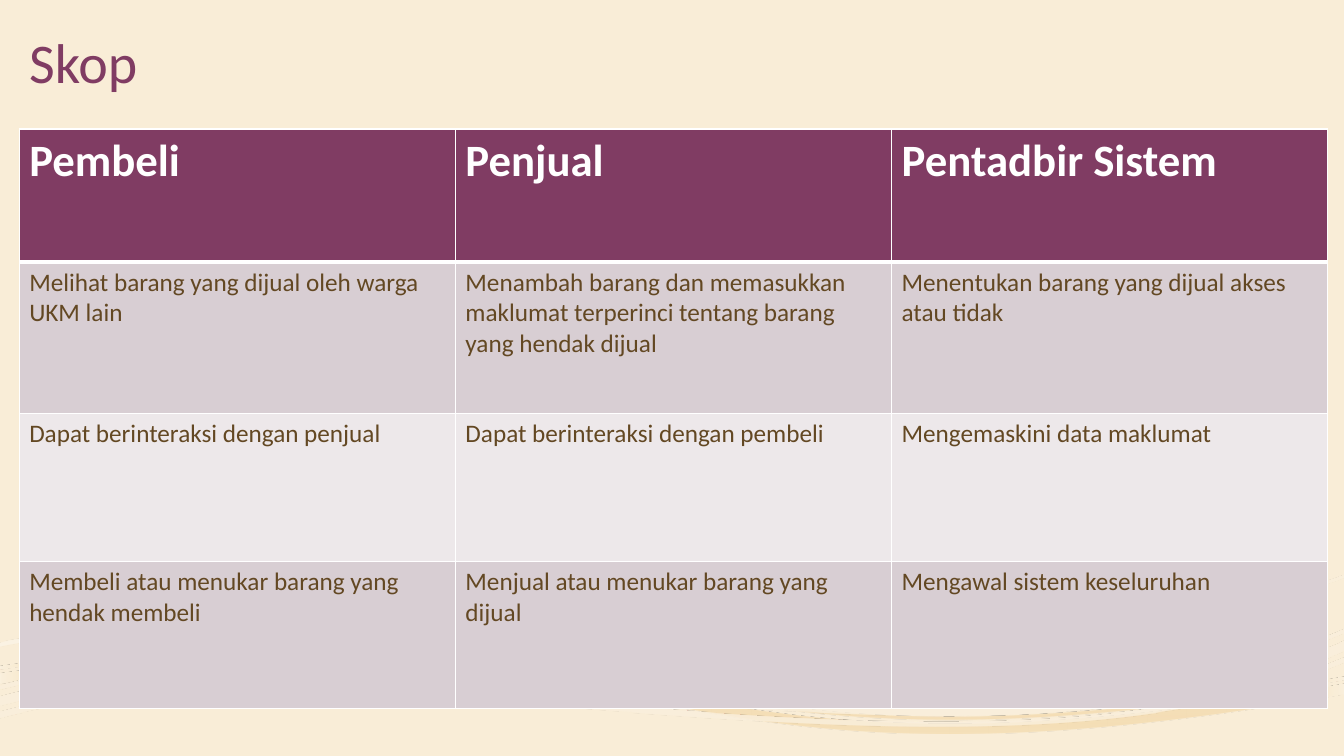
import math

from lxml import etree
from pptx import Presentation
from pptx import util as u
from pptx.dml.color import RGBColor
from pptx.enum import text
from pptx.oxml import ns

COLORS = {
    "sand": "F9EDD7", "plum": "803C63", "brown": "634823", "white": "FFFFFF",
    "band": "D8CED3", "pale": "EDE8EA", "cream": "FAF1DF", "gold": "F4DEB7",
    "honey": "F4DDB3", "ivory": "FAEFDC",
}

TILT = 3.5
WAVES = [
    {
        "frame": (0.01, 6.12, 13.31, 1.35),
        "stops": [(0, "cream", 90), (18, "gold", 100), (37, "honey", 90), (100, "cream", 100)],
        "shade": ("path", {"path": "shape"}, {"l": "50000", "t": "50000", "r": "50000", "b": "50000"}),
        "ribbons": [
            [(3.06, 6.45, 6.7, 6.47, 7.38, 7.82, 13.33, 6.78),
             (13.33, 6.88, 6.02, 8.16, 6.67, 5.83, 0, 6.78),
             (0, 6.68, 1.24, 6.51, 2.22, 6.44, 3.06, 6.45)],
            [(3.06, 6.38, 6.7, 6.4, 7.38, 7.75, 13.33, 6.71),
             (13.33, 6.74, 6.02, 8.02, 6.67, 5.69, 0, 6.64),
             (0, 6.61, 1.24, 6.43, 2.22, 6.37, 3.06, 6.38)],
        ],
    },
    {
        "frame": (0.03, 5.88, 13.35, 1.71),
        "stops": [(36, "white", 30), (100, "sand", 48)],
        "shade": ("lin", {"ang": "2700000", "scaled": "0"}, None),
        "ribbons": [
            [(13.33, 5.73, 7.54, 7.88, 3.73, 5.63, 0, 6.41),
             (0, 6.37, 3.73, 5.59, 7.54, 7.84, 13.33, 5.7)],
        ],
    },
    {
        "frame": (-0.01, 6.25, 13.36, 1.15),
        "stops": [(36, "white", 47), (100, "ivory", 82)],
        "shade": ("path", {"path": "rect"}, {"l": "100000", "t": "100000"}),
        "ribbons": [
            [(13.33, 6.57, 9.55, 8.15, 3.49, 6.18, 0, 7.12),
             (0, 7.06, 3.49, 6.12, 9.55, 8.1, 13.33, 6.52)],
            [(13.33, 6.46, 9.55, 8.04, 3.49, 6.06, 0, 7),
             (0, 6.91, 3.49, 5.96, 9.55, 7.94, 13.33, 6.36)],
            [(13.33, 6.28, 9.58, 7.9, 3.51, 5.93, 0, 6.84),
             (0, 6.8, 3.51, 5.89, 9.58, 7.86, 13.33, 6.24)],
        ],
    },
]

SCOPE = [
    ("Pembeli", "Penjual", "Pentadbir Sistem"),
    ("Melihat barang yang dijual oleh warga UKM lain",
     "Menambah barang dan memasukkan maklumat terperinci tentang barang yang hendak dijual",
     "Menentukan barang yang dijual akses atau tidak"),
    ("Dapat berinteraksi dengan penjual", "Dapat berinteraksi dengan pembeli",
     "Mengemaskini data maklumat"),
    ("Membeli atau menukar barang yang hendak membeli",
     "Menjual atau menukar barang yang dijual", "Mengawal sistem keseluruhan"),
]
ROW_HEIGHTS = [1.32, 1.5, 1.47, 1.46]


def rgb(name):
    return RGBColor.from_string(COLORS[name])


def add_node(parent, tag, **attributes):
    return etree.SubElement(parent, ns.qn(f"a:{tag}"), attributes)


def add_points(outline, tag, points):
    command = add_node(outline, tag)
    for x, y in points:
        add_node(command, "pt", x=str(u.Inches(x)), y=str(u.Inches(y)))


def level_points(curve, frame):
    left, top, width, height = frame
    cosine, sine = math.cos(math.radians(TILT)), math.sin(math.radians(TILT))
    points = []
    for x, y in zip(curve[::2], curve[1::2]):
        dx, dy = x - left - width / 2, y - top - height / 2
        points.append((width / 2 + dx * cosine - dy * sine,
                       height / 2 + dx * sine + dy * cosine))
    return points


class SlideBuilder:
    """Draws styled elements on the current slide."""

    font = "Calibri"

    def __init__(self, page):
        self.page = page
        page.background.fill.solid()
        page.background.fill.fore_color.rgb = rgb("sand")

    def style(self, para, size, color, bold=False):
        para.font.name = self.font
        para.font.size = u.Pt(size)
        para.font.color.rgb = rgb(color)
        para.font.bold = bold

    def wave(self, frame, ribbons, stops, shade):
        left, top, width, height = map(u.Inches, frame)
        builder = self.page.shapes.build_freeform(left, top, scale=1.0)
        builder.add_line_segments([(left + width, top), (left + width, top + height)])
        shape = builder.convert_to_shape()
        outline = next(shape._element.iter(ns.qn("a:path")))
        for command in list(outline):
            outline.remove(command)
        for ribbon in ribbons:
            for index, curve in enumerate(ribbon):
                points = level_points(curve, frame)
                add_points(outline, "lnTo" if index else "moveTo", points[:1])
                add_points(outline, "cubicBezTo", points[1:])
            add_node(outline, "close")
        shape.rotation = -TILT
        shape.shadow.inherit = False
        shape.line.fill.background()
        self.gradient(shape, stops, shade)

    def gradient(self, shape, stops, shade):
        fill = etree.Element(ns.qn("a:gradFill"), rotWithShape="1")
        stop_list = add_node(fill, "gsLst")
        for position, color, opacity in stops:
            stop = add_node(stop_list, "gs", pos=str(position * 1000))
            tint = add_node(stop, "srgbClr", val=COLORS[color])
            add_node(tint, "alpha", val=str(opacity * 1000))
        tag, attributes, focus = shade
        direction = add_node(fill, tag, **attributes)
        if focus:
            add_node(direction, "fillToRect", **focus)
        shape._element.spPr.find(ns.qn("a:custGeom")).addnext(fill)

    def title(self, words, left, top, width, height):
        box = self.page.shapes.add_textbox(*map(u.Inches, (left, top, width, height)))
        frame = box.text_frame
        frame.word_wrap = True
        frame.vertical_anchor = text.MSO_ANCHOR.BOTTOM
        para = frame.paragraphs[0]
        para.text = words
        para.line_spacing = 0.9
        self.style(para, 40, "plum")

    def table(self, rows, heights, left, top, width):
        bounds = map(u.Inches, (left, top, width, sum(heights)))
        table = self.page.shapes.add_table(len(rows), len(rows[0]), *bounds).table
        for column in table.columns:
            column.width = u.Inches(width / len(rows[0]))
        for r, (words, height) in enumerate(zip(rows, heights)):
            table.rows[r].height = u.Inches(height)
            for c, word in enumerate(words):
                self.cell(table.cell(r, c), word, r)

    def cell(self, cell, words, row):
        para = cell.text_frame.paragraphs[0]
        para.text = words
        if row == 0:
            self.style(para, 32, "white", bold=True)
            fill = "plum"
        else:
            self.style(para, 18, "brown")
            fill = "band" if row % 2 else "pale"
        properties = cell._tc.get_or_add_tcPr()
        for side in "LRTB":
            thick = (row, side) in ((0, "B"), (1, "T"))
            line = add_node(properties, f"ln{side}", w=str(u.Pt(3 if thick else 1)))
            add_node(add_node(line, "solidFill"), "srgbClr", val=COLORS["white"])
        cell.fill.solid()
        cell.fill.fore_color.rgb = rgb(fill)


def main():
    deck = Presentation()
    deck.slide_width, deck.slide_height = u.Inches(13.33), u.Inches(7.5)
    slide = SlideBuilder(deck.slides.add_slide(deck.slide_layouts[6]))
    for wave in WAVES:
        slide.wave(**wave)
    slide.title("Skop", 0.19, 0, 10.5, 1)
    slide.table(SCOPE, ROW_HEIGHTS, 0.19, 1.28, 12.98)
    deck.save("out.pptx")


if __name__ == "__main__":
    main()
